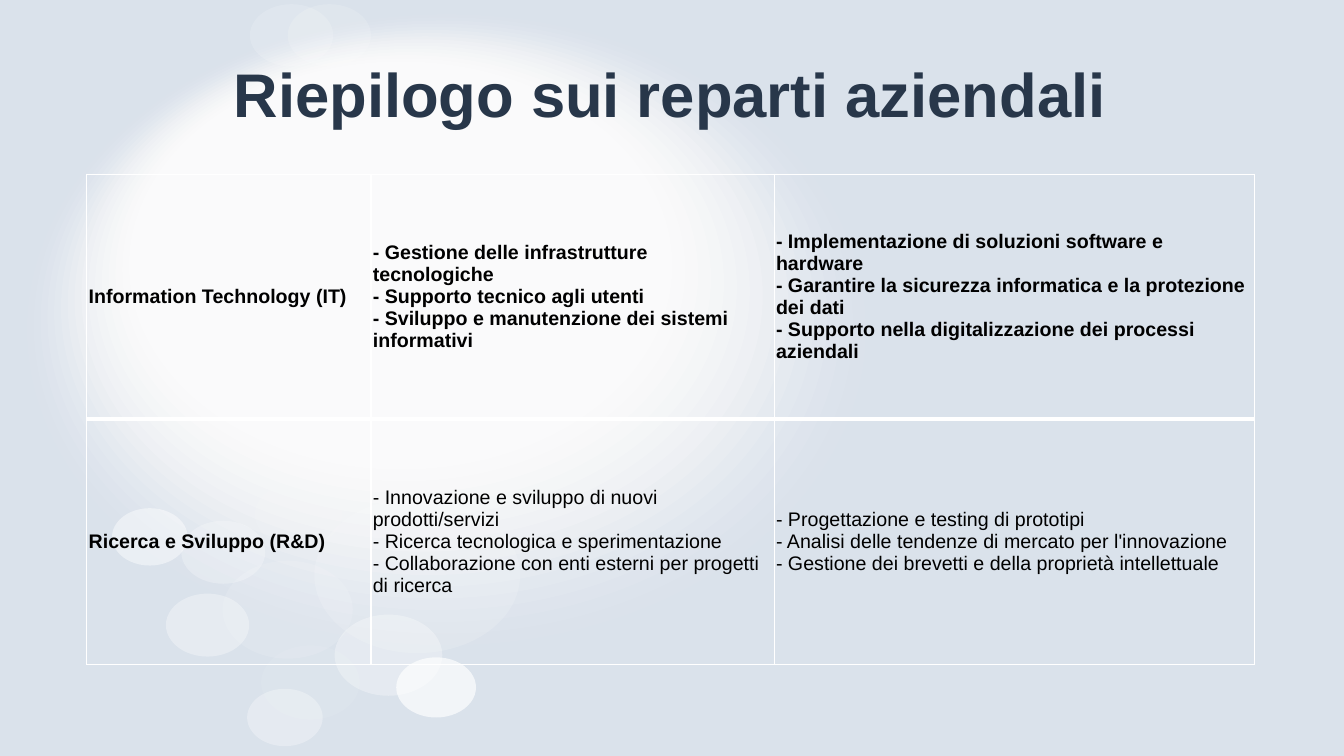
from copy import deepcopy

from lxml import etree
from pptx import Presentation
from pptx import util as u
from pptx.dml.color import RGBColor
from pptx.enum import shapes, text
from pptx.oxml.ns import qn

MIST = RGBColor(0xDA, 0xE2, 0xEB)
NAVY = RGBColor(0x28, 0x37, 0x4A)
WHITE = RGBColor(0xFF, 0xFF, 0xFF)
BLACK = RGBColor(0x00, 0x00, 0x00)

GLOW_STEPS = 16
BUBBLES = [
    (159, 400.5, 93, 70, 12),
    (224.5, 355.5, 147, 111, 15),
    (80, 363, 54, 41, 45),
    (182, 344, 62.5, 47, 8),
    (129.5, 372, 60, 45, 25),
    (118.5, 424, 59.5, 45, 33),
    (186.5, 461, 70.5, 53, 7),
    (176.5, 492, 54, 41, 31),
    (283, 469.5, 57, 43, 67),
    (239, 439, 77, 58, 31),
    (205.5, 3, 59.5, 44.5, 15),
    (178.5, 3, 59.5, 44.5, 16),
]
DEPARTMENTS = [
    [
        ["Information Technology (IT)"],
        ["- Gestione delle infrastrutture tecnologiche",
         "- Supporto tecnico agli utenti",
         "- Sviluppo e manutenzione dei sistemi informativi"],
        ["- Implementazione di soluzioni software e hardware",
         "- Garantire la sicurezza informatica e la protezione dei dati",
         "- Supporto nella digitalizzazione dei processi aziendali"],
    ],
    [
        ["Ricerca e Sviluppo (R&D)"],
        ["- Innovazione e sviluppo di nuovi prodotti/servizi",
         "- Ricerca tecnologica e sperimentazione",
         "- Collaborazione con enti esterni per progetti di ricerca"],
        ["- Progettazione e testing di prototipi",
         "- Analisi delle tendenze di mercato per l'innovazione",
         "- Gestione dei brevetti e della proprietà intellettuale"],
    ],
]


class SlideBuilder:
    """Holds the slide style and adds each kind of element to the page."""

    font = "Arial"
    title_size = 44
    body_size = 14
    inset = 1.35

    def __init__(self, deck):
        self.page = deck.slides.add_slide(deck.slide_layouts[5])
        fill = self.page.background.fill
        fill.solid()
        fill.fore_color.rgb = MIST

    def style(self, span, size, color, bold):
        span.font.name = self.font
        span.font.size = u.Pt(size)
        span.font.bold = bold
        span.font.color.rgb = color

    def ellipse(self, left, top, width, height, opacity):
        oval = self.page.shapes.add_shape(
            shapes.MSO_SHAPE.OVAL, u.Pt(left), u.Pt(top), u.Pt(width), u.Pt(height))
        oval.shadow.inherit = False
        oval.line.fill.background()
        oval.fill.solid()
        oval.fill.fore_color.rgb = WHITE
        color = oval.element.spPr.find(qn("a:solidFill"))[0]
        etree.SubElement(color, qn("a:alpha"), val=str(round(opacity * 1000)))

    def title(self, wording, left, top, width, height):
        box = self.page.shapes.title
        box.element.getparent().append(box.element)
        box.left, box.top = u.Pt(left), u.Pt(top)
        box.width, box.height = u.Pt(width), u.Pt(height)
        frame = box.text_frame
        frame.text = wording
        frame.word_wrap = True
        frame.vertical_anchor = text.MSO_ANCHOR.MIDDLE
        para = frame.paragraphs[0]
        para.alignment = text.PP_ALIGN.CENTER
        self.style(para.runs[0], self.title_size, NAVY, True)

    def border(self, cell, bottom):
        properties = cell._tc.get_or_add_tcPr()
        widths = {"a:lnL": 1, "a:lnR": 1, "a:lnT": 1, "a:lnB": bottom}
        for place, (side, width) in enumerate(widths.items()):
            line = etree.Element(qn(side), w=str(u.Pt(width)))
            fill = etree.SubElement(line, qn("a:solidFill"))
            etree.SubElement(fill, qn("a:srgbClr"), val=str(WHITE))
            properties.insert(place, line)

    def cell(self, cell, lines, bold, bottom):
        cell.fill.background()
        self.border(cell, bottom)
        cell.vertical_anchor = text.MSO_ANCHOR.MIDDLE
        cell.margin_left = cell.margin_right = u.Pt(self.inset)
        cell.margin_top = cell.margin_bottom = u.Pt(self.inset)
        para = cell.text_frame.paragraphs[0]
        para.text = "\n".join(lines)
        for span in para.runs:
            self.style(span, self.body_size, BLACK, bold)
        for line_break in para._p.findall(qn("a:br")):
            line_break.append(deepcopy(para.runs[0].font._rPr))

    def table(self, rows, left, top, widths, row_height):
        table = self.page.shapes.add_table(
            len(rows), len(widths), u.Pt(left), u.Pt(top),
            u.Pt(sum(widths)), u.Pt(row_height * len(rows))).table
        table.horz_banding = False
        for column, width in zip(table.columns, widths):
            column.width = u.Pt(width)
        for r, row in enumerate(rows):
            for c, lines in enumerate(row):
                self.cell(table.cell(r, c), lines,
                          bold=r == 0 or c == 0, bottom=3 if r == 0 else 1)


def main():
    deck = Presentation()
    deck.slide_width, deck.slide_height = u.Pt(960), u.Pt(540)
    builder = SlideBuilder(deck)
    for step in range(1, GLOW_STEPS + 1):
        builder.ellipse(14.4 + 4.86 * step, 7.9 + 2.25 * step,
                        613.4 - 14.08 * step, 461.5 - 10.62 * step,
                        1.4 + 1.6 * step)
    for bubble in BUBBLES:
        builder.ellipse(*bubble)
    builder.title("Riepilogo sui reparti aziendali", 62, 21.5, 834, 90)
    builder.table(DEPARTMENTS, 62, 124.5, [203, 288, 343], 175)
    deck.save("out.pptx")


if __name__ == "__main__":
    main()
